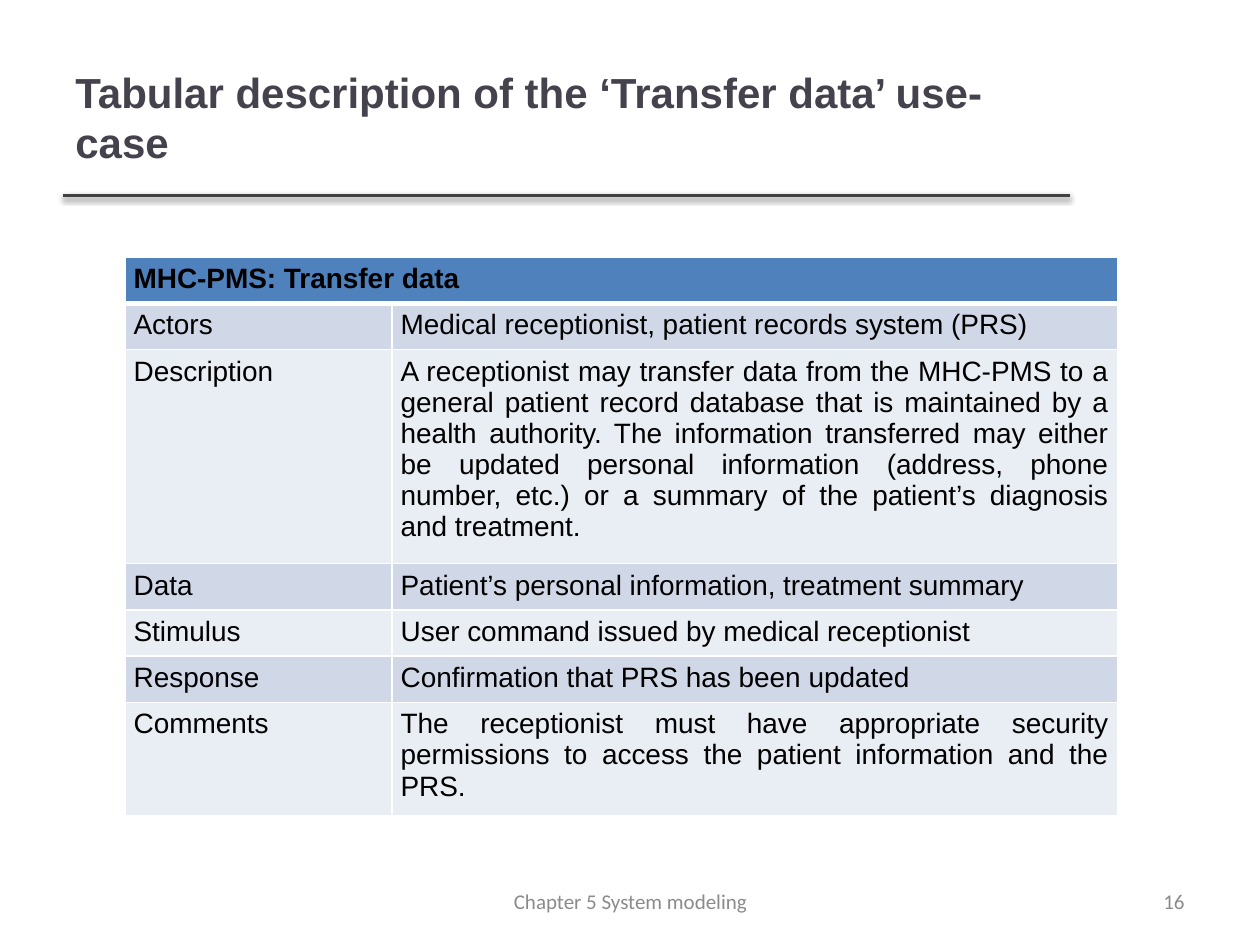
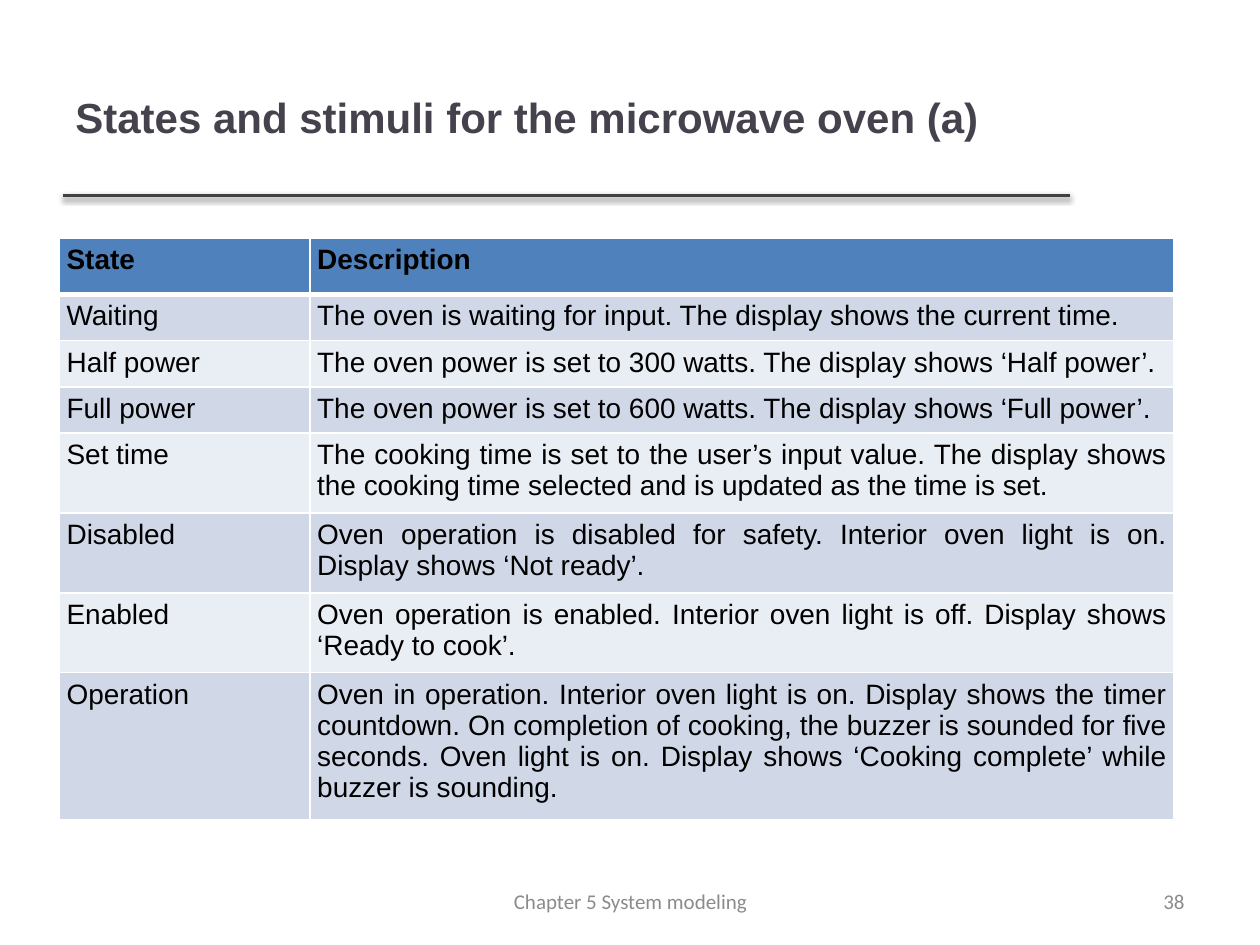
"""Build two table slides on system modeling with a shared title, rule and footer."""
from lxml.etree import SubElement
from pptx import Presentation
from pptx.dml.color import RGBColor
from pptx.enum.shapes import MSO_CONNECTOR
from pptx.enum.text import MSO_ANCHOR, PP_ALIGN
from pptx.oxml import parse_xml
from pptx.oxml.ns import nsdecls, qn
from pptx.util import Pt

INK, RULE, GREY = "46424D", "404040", "8B8B8B"
HEAD, BANDS, EDGE = "4F81BD", ("E9EDF4", "D0D8E8"), "FFFFFF"
ROW, STEP = 25.2, 17.7


def hue(code):
    return RGBColor.from_string(code)


def write(frame, text, size=16, font="Arial", color="000000", bold=False,
          align=PP_ALIGN.LEFT, anchor=MSO_ANCHOR.MIDDLE):
    frame.word_wrap = True
    frame.vertical_anchor = anchor
    para = frame.paragraphs[0]
    para.alignment = align
    run = para.add_run()
    run.text = text
    run.font.size = Pt(size)
    run.font.name = font
    run.font.bold = bold
    run.font.color.rgb = hue(color)


pages = [
    dict(
        title="Tabular description of the ‘Transfer data’ use-case",
        number="16", left=71.3, top=146.9, cols=(152.6, 414.7), pad=5.1, head=ROW,
        rows=[
            ("MHC-PMS: Transfer data", "", 1),
            ("Actors", "Medical receptionist, patient records system (PRS)", 1),
            ("Description", "A receptionist may transfer data from the MHC-PMS to a "
             "general patient record database that is maintained by a health authority. "
             "The information transferred may either be updated personal information "
             "(address, phone number, etc.) or a summary of the patient’s diagnosis "
             "and treatment.", 6),
            ("Data", "Patient’s personal information, treatment summary", 1),
            ("Stimulus", "User command issued by medical receptionist", 1),
            ("Response", "Confirmation that PRS has been updated", 1),
            ("Comments", "The receptionist must have appropriate security permissions "
             "to access the patient information and the PRS.", 3),
        ]),
    dict(
        title="States and stimuli for the microwave oven (a)",
        number="38", left=33.9, top=136.1, cols=(143.2, 493.9), pad=4.2, head=32.2,
        rows=[
            ("State", "Description", 1),
            ("Waiting", "The oven is waiting for input. The display shows the "
             "current time.", 1),
            ("Half power", "The oven power is set to 300 watts. The display shows "
             "‘Half power’.", 1),
            ("Full power", "The oven power is set to 600 watts. The display shows "
             "‘Full power’.", 1),
            ("Set time", "The cooking time is set to the user’s input value. The display "
             "shows the cooking time selected and is updated as the time is set.", 2),
            ("Disabled", "Oven operation is disabled for safety. Interior oven light is "
             "on. Display shows ‘Not ready’.", 2),
            ("Enabled", "Oven operation is enabled. Interior oven light is off. Display "
             "shows ‘Ready to cook’.", 2),
            ("Operation", "Oven in operation. Interior oven light is on. Display shows "
             "the timer countdown. On completion of cooking, the buzzer is sounded for "
             "five seconds. Oven light is on. Display shows ‘Cooking complete’ while "
             "buzzer is sounding.", 4),
        ]),
]

deck = Presentation()
deck.slide_width, deck.slide_height = Pt(720), Pt(540)

for page in pages:
    slide = deck.slides.add_slide(deck.slide_layouts[6])

    rule = slide.shapes.add_connector(
        MSO_CONNECTOR.STRAIGHT, Pt(36), Pt(111.6), Pt(611.3), Pt(111.6))
    rule.line.color.rgb = hue(RULE)
    rule.line.width = Pt(2)
    glow = SubElement(rule._element.spPr, qn("a:effectLst"))
    shade = SubElement(glow, qn("a:outerShdw"), blurRad=str(Pt(3.1)), dist=str(Pt(1.6)),
                       dir="5400000", rotWithShape="0")
    tint = SubElement(shade, qn("a:srgbClr"), val="000000")
    SubElement(tint, qn("a:alpha"), val="38000")

    foot = dict(size=12, font="Calibri", color=GREY)
    for text, box, style in (
        (page["title"], (36, 21.6, 574.6, 90), dict(size=24, color=INK, bold=True)),
        (page["number"], (516.2, 500.4, 167.8, 28.8), dict(foot, align=PP_ALIGN.RIGHT)),
        ("Chapter 5 System modeling", (246.2, 500.4, 228.2, 28.8),
         dict(foot, align=PP_ALIGN.CENTER)),
    ):
        label = slide.shapes.add_textbox(*map(Pt, box))
        write(label.text_frame, text, **style)

    rows, cols = page["rows"], page["cols"]
    highs = [page["head"]] + [ROW + STEP * (row[2] - 1) for row in rows[1:]]
    grid = slide.shapes.add_table(len(rows), 2, Pt(page["left"]), Pt(page["top"]),
                                  Pt(sum(cols)), Pt(sum(highs))).table
    for col, wide in zip(grid.columns, cols):
        col.width = Pt(wide)
    for r, row in enumerate(rows):
        grid.rows[r].height = Pt(highs[r])
        for c, text in enumerate(row[:2]):
            cell = grid.cell(r, c)
            cell.margin_left = cell.margin_right = Pt(page["pad"])
            cell.margin_top = cell.margin_bottom = Pt(3.6)
            cell.fill.solid()
            cell.fill.fore_color.rgb = hue(BANDS[r % 2] if r else HEAD)
            if text:
                write(cell.text_frame, text, bold=r == 0, align=PP_ALIGN.JUSTIFY,
                      anchor=MSO_ANCHOR.TOP)
            thick = {0: "lnB", 1: "lnT"}.get(r)
            for spot, side in enumerate(("lnL", "lnR", "lnT", "lnB")):
                wide = Pt(3 if side == thick else 0.96)
                cell._tc.get_or_add_tcPr().insert(spot, parse_xml(
                    f'<a:{side} {nsdecls("a")} w="{wide}"><a:solidFill>'
                    f'<a:srgbClr val="{EDGE}"/></a:solidFill></a:{side}>'))
    if not rows[0][1]:
        grid.cell(0, 0).merge(grid.cell(0, 1))

deck.save("out.pptx")
